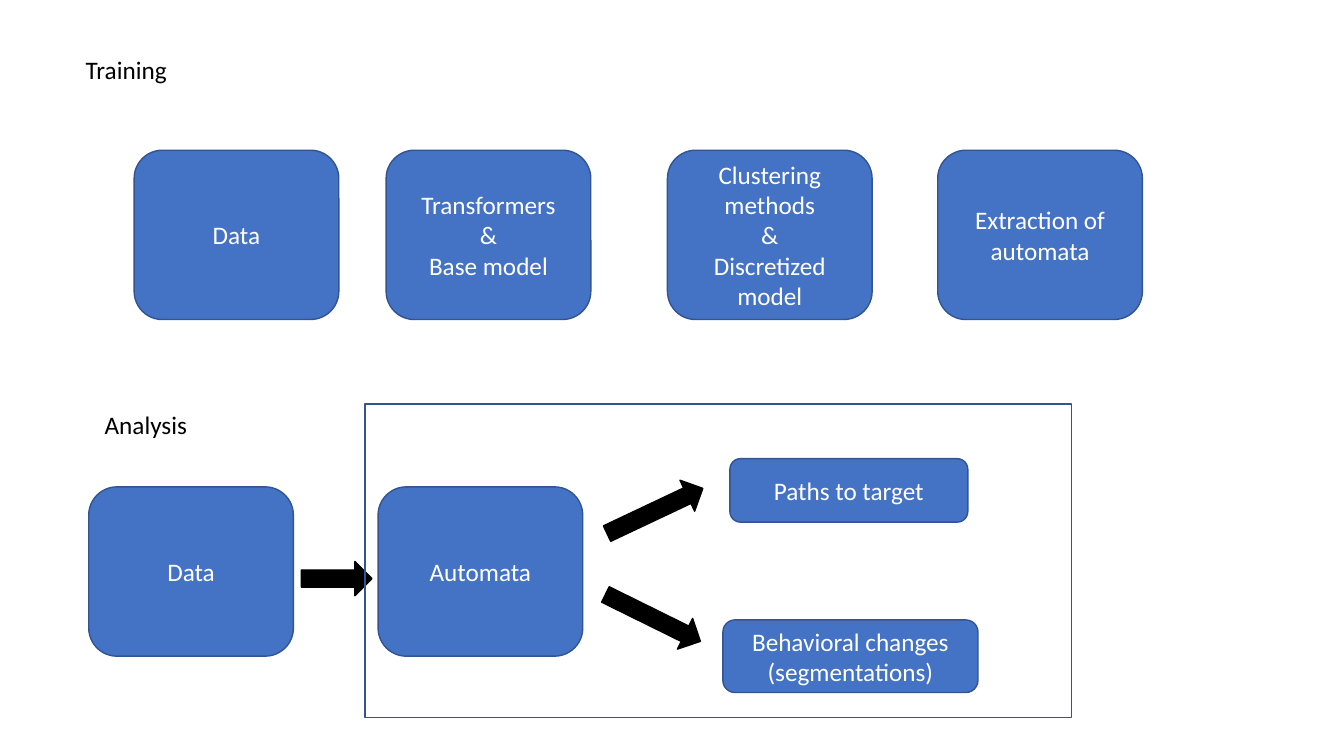
from dataclasses import dataclass

from pptx import Presentation
from pptx.dml.color import RGBColor
from pptx.enum.shapes import MSO_SHAPE
from pptx.enum.text import MSO_ANCHOR, MSO_AUTO_SIZE, PP_ALIGN
from pptx.util import Inches, Pt

ROUNDED = MSO_SHAPE.ROUNDED_RECTANGLE
RECTANGLE = MSO_SHAPE.RECTANGLE
ARROW = MSO_SHAPE.RIGHT_ARROW
TOP, MIDDLE = MSO_ANCHOR.TOP, MSO_ANCHOR.MIDDLE
LEFT, CENTER = PP_ALIGN.LEFT, PP_ALIGN.CENTER
GROW = MSO_AUTO_SIZE.SHAPE_TO_FIT_TEXT

WIDTH, HEIGHT = Inches(13.33), Inches(7.5)
TITLE_ONLY = 5
STAGE_W, STAGE_H = 15.23, 22.4
TRAINING_Y, ANALYSIS_Y = 19.87, 64.4
HEADING_W, HEADING_H = 8.7, 5.33
ARROW_H = 4.53


@dataclass(frozen=True)
class Theme:
    font: str = "Calibri"
    size: Pt = Pt(18)
    line_width: Pt = Pt(1)
    box: RGBColor = RGBColor(0x44, 0x72, 0xC4)
    outline: RGBColor = RGBColor(0x32, 0x54, 0x91)
    dark: RGBColor = RGBColor(0, 0, 0)
    light: RGBColor = RGBColor(0xFF, 0xFF, 0xFF)


THEME = Theme()


def place(x, y, w, h):
    return [round(v / 100 * full) for v, full in
            ((x, WIDTH), (y, HEIGHT), (w, WIDTH), (h, HEIGHT))]


def write(sp, text, color, align, anchor):
    tf = sp.text_frame
    tf.word_wrap = True
    tf.vertical_anchor = anchor
    tf.text = text
    for p in tf.paragraphs:
        p.alignment = align
        p.font.name = THEME.font
        p.font.size = THEME.size
        p.font.color.rgb = color


def add_block(s, kind, area, fill, outline):
    sp = s.shapes.add_shape(kind, *place(*area))
    sp.shadow.inherit = False
    if fill is None:
        sp.fill.background()
    else:
        sp.fill.solid()
        sp.fill.fore_color.rgb = fill
    sp.line.color.rgb = outline
    sp.line.width = THEME.line_width
    return sp


def add_box(s, text, x, y, w=STAGE_W, h=STAGE_H):
    sp = add_block(s, ROUNDED, (x, y, w, h), THEME.box, THEME.outline)
    write(sp, text, THEME.light, CENTER, MIDDLE)


def add_arrow(s, x, y, w, angle=0):
    sp = add_block(s, ARROW, (x, y, w, ARROW_H), THEME.dark, THEME.dark)
    sp.rotation = angle


def format_heading(sp, text, x, y):
    sp.left, sp.top, sp.width, sp.height = place(x, y, HEADING_W, HEADING_H)
    write(sp, text, THEME.dark, LEFT, TOP)
    sp.text_frame.auto_size = GROW


def add_training(s):
    format_heading(s.shapes.title, "Training", 5.63, 6.53)
    for text, x in (
        ("Data", 9.98),
        ("Transformers\n&\nBase model", 28.73),
        ("Clustering methods\n&\nDiscretized model", 49.66),
        ("Extraction of automata", 69.77),
    ):
        add_box(s, text, x, TRAINING_Y)


def add_analysis(s):
    heading = s.shapes.add_textbox(0, 0, 0, 0)
    format_heading(heading, "Analysis", 7.05, 53.47)
    add_box(s, "Data", 6.6, ANALYSIS_Y)
    add_box(s, "Automata", 28.13, ANALYSIS_Y)
    add_box(s, "Paths to target", 54.31, 60.67, 17.7, 8.4)
    add_box(s, "Behavioral changes (segmentations)", 53.79, 82, 18.98, 9.6)
    add_arrow(s, 44.79, 65.33, 7.88, 334.7)
    add_arrow(s, 44.64, 79.47, 7.88, 26.3)
    add_arrow(s, 22.43, 74.27, 5.25)
    add_block(s, RECTANGLE, (27.16, 53.47, 52.59, 41.47), None, THEME.outline)


def main():
    prs = Presentation()
    prs.slide_width, prs.slide_height = WIDTH, HEIGHT
    s = prs.slides.add_slide(prs.slide_layouts[TITLE_ONLY])
    add_training(s)
    add_analysis(s)
    prs.save("out.pptx")


if __name__ == "__main__":
    main()
